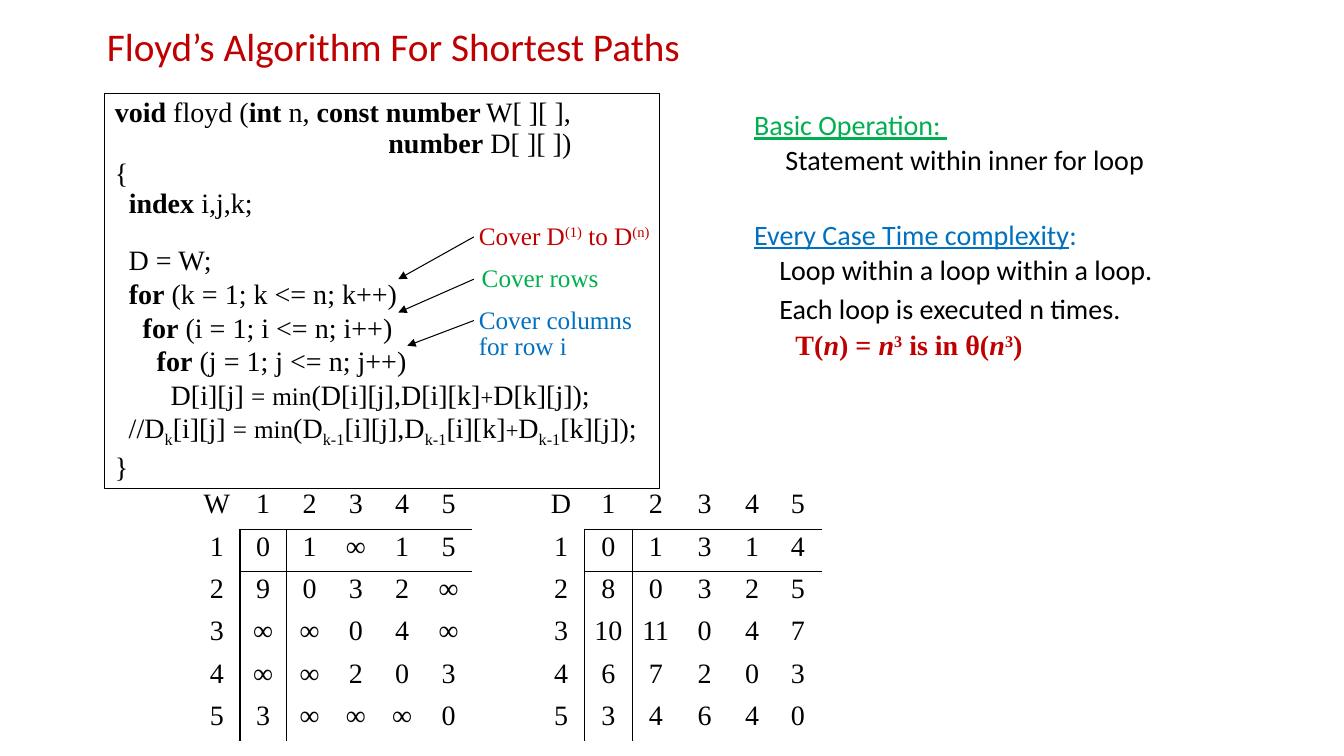
"""Build the slide on Floyd's algorithm for shortest paths."""
from dataclasses import dataclass
from typing import NamedTuple

from lxml.etree import SubElement as Sub
from pptx import Presentation
from pptx.dml.color import RGBColor as Rgb
from pptx.enum.shapes import MSO_CONNECTOR as Link, MSO_SHAPE as Form
from pptx.enum.text import MSO_ANCHOR as Anchor, MSO_AUTO_SIZE as Fit, PP_ALIGN as Align
from pptx.oxml.ns import qn
from pptx.slide import Slide
from pptx.text.text import TextFrame
from pptx.util import Pt

PX = 9144
PLAIN = "{2D5ABB26-0587-4C30-8999-92F81FD0307C}"


@dataclass(frozen=True)
class Theme:
    black: str = "000000"
    red: str = "C00000"
    green: str = "00B050"
    blue: str = "0070C0"
    sans: str = "Calibri"
    serif: str = "Times New Roman"
    title: int = 28
    main: int = 20
    note: int = 18
    plus: int = 16
    gap: int = 14
    thin: float = 0.75
    rule: float = 1


T = Theme()


class Box(NamedTuple):
    left: int
    top: int
    width: int
    height: int


class Span(NamedTuple):
    text: str
    bold: bool = False
    size: int = T.main
    color: str = T.black
    font: str = T.serif
    slant: bool = False
    under: bool = False
    base: int = 0


class Line(NamedTuple):
    spans: list[Span]
    pitch: float = 1
    before: float = 0
    left: int = 0


class Note(NamedTuple):
    box: Box
    inset: int
    lines: list[Line]
    start: tuple[int, int]
    end: tuple[int, int]


class Grid(NamedTuple):
    left: int
    widths: list[int]
    rows: list[str]


def bold(text: str) -> Span:
    return Span(text, True)


def small(text: str, size: int = T.note) -> Span:
    return Span(text, size=size)


def sub(text: str) -> Span:
    return Span(text, base=-25)


def label(text: str, color: str, base: int = 0) -> Span:
    return Span(text, size=T.note, color=color, base=base)


def sans(text: str, color: str = T.black, under: bool = False) -> Span:
    return Span(text, color=color, font=T.sans, under=under)


def cost(text: str, slant: bool = False, base: int = 0) -> Span:
    return Span(text, True, color=T.red, slant=slant, base=base)


CODE = [
    Line([bold("void "), Span("floyd ("), bold("int"), Span(" n, "), bold("const number"),
          small(" ", T.gap), Span("W[ ][ ],")], 0.9),
    Line([Span("                                       "), bold("number"), Span(" D[ ][ ])")], 0.9),
    Line([Span("{")], 0.9),
    Line([Span("  "), bold("index "), Span("i,j,k;")], 0.9),
    Line([Span("  D = W;")], 0.9, 19),
    Line([Span("  "), bold("for"), Span(" (k = 1; k <= n; k++)")]),
    Line([bold("    for"), Span(" (i = 1; i <= n; i++)")]),
    Line([bold("      for"), Span(" (j = 1; j <= n; j++)")]),
    Line([Span("        D[i][j] "), small("="), Span(" "), small("min"),
          Span("(D[i][j],D[i][k]"), small("+", T.plus), Span("D[k][j]);")]),
    Line([Span("  //D"), sub("k"), Span("[i][j] "), small("="), Span(" "), small("min"),
          Span("(D"), sub("k-1"), Span("[i][j],D"), sub("k-1"), Span("[i][k]"),
          small("+", T.plus), Span("D"), sub("k-1"), Span("[k][j]);")]),
    Line([Span("}")], 0.95, 2),
]
FACTS = [
    Line([sans("Basic Operation: ", T.green, True)], 0.8),
    Line([sans("Statement within inner for loop")], 0.8, 6, 31),
    Line([sans("Every Case Time complexity", T.blue, True), sans(":", T.blue)], 0.8, 34),
    Line([sans("Loop within a loop within a loop.")], 0.8, 6, 25),
    Line([sans("Each loop is executed n times.")], 0.8, 8.4, 25),
    Line([cost("T("), cost("n", True), cost(") = "), cost("n", True), cost("3", base=30),
          cost(" is in θ("), cost("n", True), cost("3", base=30), cost(")")], 0.8, 7, 41),
]
NOTES = [
    Note(Box(465, 302, 172, 61), 10,
         [Line([label(text, T.blue)], 0.85) for text in ("Cover columns", "for row i")],
         (470, 318), (404, 343)),
    Note(Box(468, 260, 136, 36), 10, [Line([label("Cover rows", T.green)], 0.85)],
         (470, 277), (395, 310)),
    Note(Box(468, 218, 191, 36), 7,
         [Line([label("Cover D", T.red), label("(1)", T.red, 30),
                label(" to D", T.red), label("(n)", T.red, 30)], 0.85)],
         (470, 235), (395, 277)),
]
GRIDS = [
    Grid(192, [46] * 6, ["W 1 2 3 4 5", "1 0 1 ∞ 1 5", "2 9 0 3 2 ∞",
                         "3 ∞ ∞ 0 4 ∞", "4 ∞ ∞ 2 0 3", "5 3 ∞ ∞ ∞ 0"]),
    Grid(533, [47, 47, 47, 50, 44, 47], ["D 1 2 3 4 5", "1 0 1 3 1 4", "2 8 0 3 2 5",
                                         "3 10 11 0 4 7", "4 6 7 2 0 3", "5 3 4 6 4 0"]),
]


def scale(box: Box) -> list[int]:
    return [side * PX for side in box]


def write(frame: TextFrame, lines: list[Line], inset: tuple[int, int] = (10, 10),
          align: Align = Align.LEFT) -> None:
    frame.margin_left, frame.margin_right = (side * PX for side in inset)
    for i, line in enumerate(lines):
        para = frame.add_paragraph() if i else frame.paragraphs[0]
        props = para._p.get_or_add_pPr()
        props.set("marL", str(line.left * PX))
        props.set("indent", "0")
        Sub(props, qn("a:buNone"))
        para.alignment, para.line_spacing = align, line.pitch
        para.space_before, para.space_after = Pt(line.before), Pt(0)
        for span in line.spans:
            run = para.add_run()
            run.text = span.text
            font = run.font
            font.name, font.size, font.bold = span.font, Pt(span.size), span.bold
            font.italic, font.underline = span.slant, span.under
            font.color.rgb = Rgb.from_string(span.color)
            if span.base:
                run._r.get_or_add_rPr().set("baseline", str(span.base * 1000))


def fill(slide: Slide, spot: int, box: Box, lines: list[Line], inset: tuple[int, int],
         anchor: Anchor) -> None:
    shape = slide.placeholders[spot]
    shape.left, shape.top, shape.width, shape.height = scale(box)
    frame = shape.text_frame
    frame.auto_size, frame.vertical_anchor = Fit.NONE, anchor
    write(frame, lines, inset)


def frame_code(slide: Slide, box: Box) -> None:
    shape = slide.shapes.add_shape(Form.RECTANGLE, *scale(box))
    shape.shadow.inherit = False
    shape.fill.background()
    shape.line.color.rgb, shape.line.width = Rgb.from_string(T.black), Pt(T.thin)
    shape.text_frame.word_wrap, shape.text_frame.vertical_anchor = True, Anchor.TOP
    write(shape.text_frame, CODE, (10, 8))


def draw_grid(slide: Slide, grid: Grid) -> None:
    count, high = len(grid.rows), 42
    box = Box(grid.left, 483, sum(grid.widths), count * high)
    table = slide.shapes.add_table(count, len(grid.widths), *scale(box)).table
    table.first_row = table.horz_banding = False
    table._tbl.tblPr.find(qn("a:tableStyleId")).text = PLAIN
    for column, width in zip(table.columns, grid.widths):
        column.width = width * PX
    for r, row in enumerate(grid.rows):
        table.rows[r].height = high * PX
        for c, text in enumerate(row.split()):
            cell = table.cell(r, c)
            cell.margin_left = cell.margin_right = 4 * PX
            cell.margin_top = cell.margin_bottom = 2 * PX
            write(cell.text_frame, [Line([Span(text)])], (4, 4), Align.CENTER)
            edges = {"L": c == 1 and r, "R": c == 0 and r, "T": r == 1 and c, "B": r == 0 and c}
            for side in (key for key, shown in edges.items() if shown):
                rule = Sub(cell._tc.get_or_add_tcPr(), qn(f"a:ln{side}"), w=str(Pt(T.rule)))
                Sub(Sub(rule, qn("a:solidFill")), qn("a:srgbClr"), val=T.black)
            cell.fill.background()


def draw_note(slide: Slide, note: Note) -> None:
    frame = slide.shapes.add_textbox(*scale(note.box)).text_frame
    frame.word_wrap, frame.auto_size = False, Fit.SHAPE_TO_FIT_TEXT
    write(frame, note.lines, (note.inset, 10))
    ends = [side * PX for side in note.start + note.end]
    arrow = slide.shapes.add_connector(Link.STRAIGHT, *ends)
    arrow.line.color.rgb, arrow.line.width = Rgb.from_string(T.black), Pt(T.thin)
    Sub(arrow.line._get_or_add_ln(), qn("a:tailEnd"), type="triangle")
    Sub(arrow._element.spPr, qn("a:effectLst"))


def main() -> None:
    deck = Presentation()
    deck.slide_width, deck.slide_height = 1333 * PX, 750 * PX
    slide = deck.slides.add_slide(deck.slide_layouts[1])
    head = Span("Floyd’s Algorithm For Shortest Paths", size=T.title, color=T.red, font=T.sans)
    fill(slide, 0, Box(96, 2, 900, 92), [Line([head], 0.9)], (10, 10), Anchor.MIDDLE)
    frame_code(slide, Box(104, 93, 550, 392))
    for grid in GRIDS:
        draw_grid(slide, grid)
    fill(slide, 1, Box(742, 108, 533, 367), FACTS, (6, 2), Anchor.TOP)
    for note in NOTES:
        draw_note(slide, note)
    deck.save("out.pptx")


if __name__ == "__main__":
    main()
